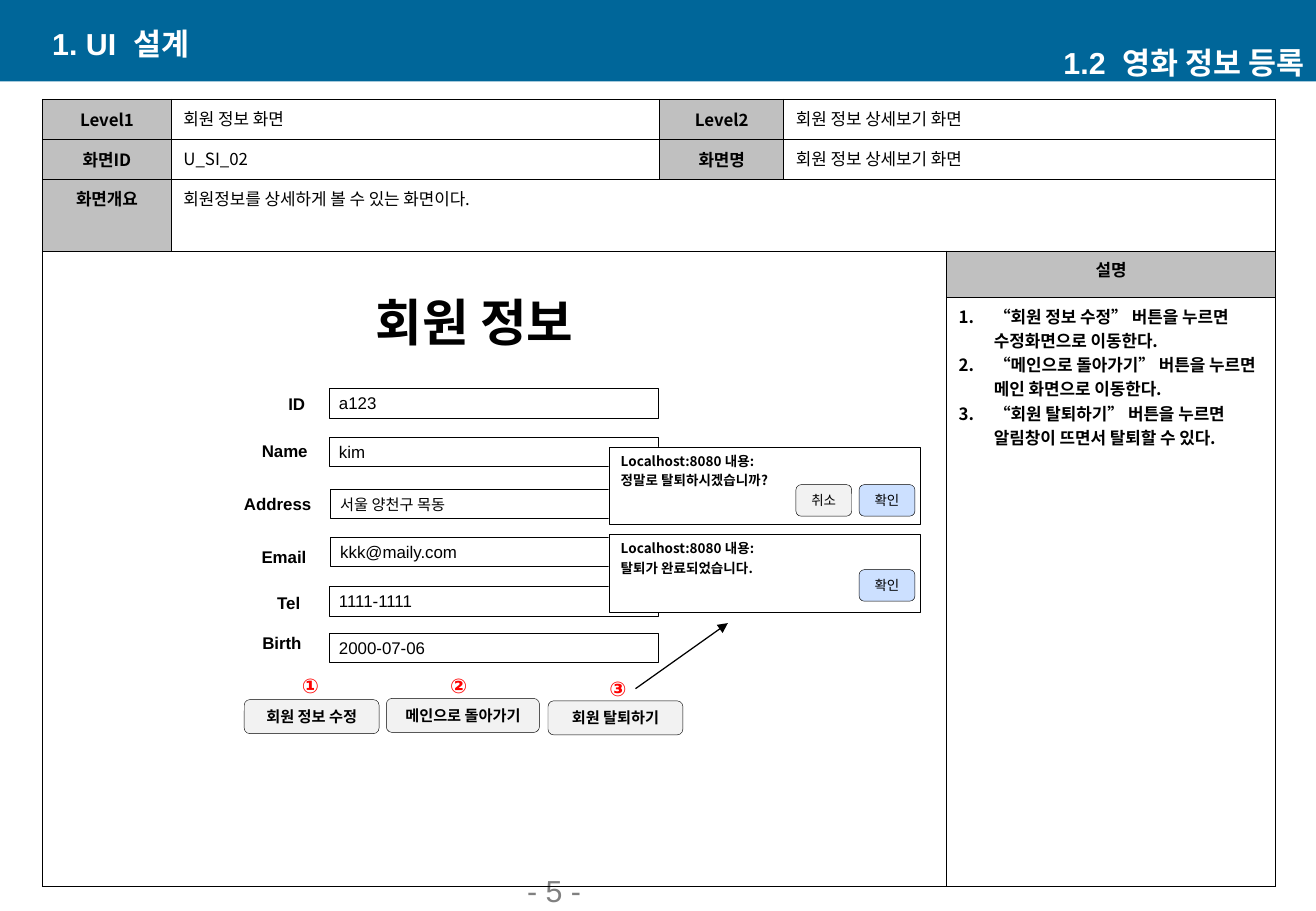
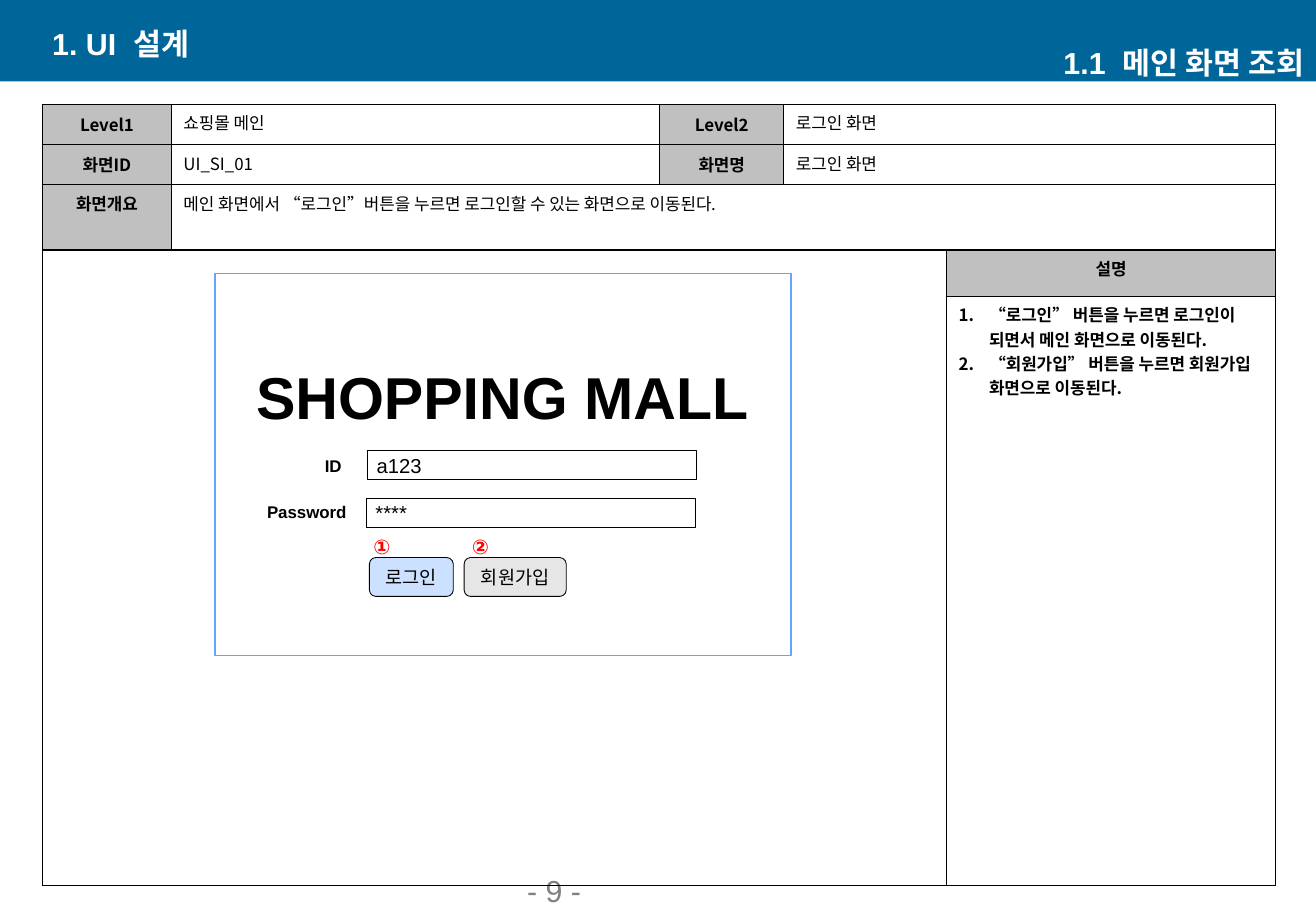
from lxml import etree
from pptx import Presentation
from pptx.dml.color import RGBColor
from pptx.enum import shapes, text
from pptx.oxml import ns
from pptx.util import Inches, Pt

COLORS = {
    "band": "006699", "white": "FFFFFF", "black": "000000", "page": "808080",
    "header": "C0C0C0", "mark": "FF0000", "frame": "66A3FF",
    "plain": "F2F2F2", "gray": "E6E6E6", "primary": "CCE0FF",
}
LATIN, KOREAN = "Arial", "Noto Sans CJK KR"
ALIGN, ANCHOR, SHAPE = text.PP_ALIGN, text.MSO_ANCHOR, shapes.MSO_SHAPE

SECTION = "1. UI  설계"
TABLE_LEFT, COLUMNS = 0.35, (1.06, 4.02, 1.02, 1.34, 2.71)
FIELD_SIZE, MARK_SIZE = (2.71, 0.24), (0.37, 0.3)
POPUP_SIZE, POPUP_BUTTON = (2.56, 0.64), (0.46, 0.26)

MEMBER = {
    "topic": "1.2  영화 정보 등록", "page": "- 5 -",
    "top": 0.82, "overview_height": 0.59, "indent": 0.29,
    "level1": "회원 정보 화면", "level2": "회원 정보 상세보기 화면",
    "id": "U_SI_02", "name": "회원 정보 상세보기 화면",
    "overview": "회원정보를 상세하게 볼 수 있는 화면이다.",
    "notes": ["“회원 정보 수정” 버튼을 누르면 수정화면으로 이동한다.",
              "“메인으로 돌아가기” 버튼을 누르면 메인 화면으로 이동한다.",
              "“회원 탈퇴하기” 버튼을 누르면 알림창이 뜨면서 탈퇴할 수 있다."],
    "heading": ("회원 정보", (2.92, 2.34, 1.97, 0.61), 30),
    # label, its right edge and top, value, field left and top, value size
    "fields": [("ID", 2.61, 3.19, "a123", 2.71, 3.2, 10),
               ("Name", 2.63, 3.58, "kim", 2.71, 3.6, 10),
               ("Address", 2.66, 4.01, "서울 양천구 목동", 2.72, 4.03, 9),
               ("Email", 2.62, 4.45, "kkk@maily.com", 2.72, 4.42, 10),
               ("Tel", 2.57, 4.83, "1111-1111", 2.71, 4.83, 10),
               ("Birth", 2.58, 5.16, "2000-07-06", 2.71, 5.21, 10)],
    "buttons": [("회원 정보 수정", (2.01, 5.76, 1.11, 0.28), "plain"),
                ("메인으로 돌아가기", (3.18, 5.75, 1.26, 0.28), "plain"),
                ("회원 탈퇴하기", (4.51, 5.77, 1.11, 0.28), "plain")],
    "button_format": {"size": 9, "bold": True},
    "button_line": 0.25,
    "marks": [("①", 2.37, 5.49), ("②", 3.59, 5.49), ("③", 4.9, 5.52)],
}
LOGIN = {
    "topic": "1.1  메인 화면 조회", "page": "- 9 -",
    "top": 0.86, "overview_height": 0.54, "indent": 0.25,
    "level1": "쇼핑몰 메인", "level2": "로그인 화면",
    "id": "UI_SI_01", "name": "로그인 화면",
    "overview": "메인 화면에서 “로그인”버튼을 누르면 로그인할 수 있는 화면으로 이동된다.",
    "notes": ["“로그인” 버튼을 누르면 로그인이 되면서 메인 화면으로 이동된다.",
              "“회원가입” 버튼을 누르면 회원가입 화면으로 이동된다."],
    "heading": ("SHOPPING MALL", (1.95, 2.91, 4.37, 0.69), 35),
    "fields": [("ID", 2.91, 3.7, "a123", 3.02, 3.71, 12),
               ("Password", 2.95, 4.08, "****", 3.01, 4.1, 12)],
    "buttons": [("로그인", (3.04, 4.59, 0.69, 0.32), "primary"),
                ("회원가입", (3.82, 4.59, 0.84, 0.32), "gray")],
    "button_format": {"size": 11},
    "button_line": 0.5,
    "marks": [("①", 2.96, 4.35), ("②", 3.77, 4.35)],
}
# left, top, lines, buttons from left to right
POPUPS = [
    (5.01, 3.68, ["Localhost:8080 내용:", "정말로 탈퇴하시겠습니까?"],
     [("취소", 6.55, 3.99, "plain"), ("확인", 7.07, 3.99, "primary")]),
    (5.01, 4.4, ["Localhost:8080 내용:", "탈퇴가 완료되었습니다."],
     [("확인", 7.07, 4.69, "primary")]),
]
ARROW = (5.23, 5.67, 5.99, 5.13)


def rgb(name):
    return RGBColor.from_string(COLORS[name])


def add_xml(parent, tag, **attributes):
    return etree.SubElement(parent, ns.qn(tag), attributes)


def write(frame, lines, *, size=10, bold=False, color="black", font=LATIN,
          align=ALIGN.LEFT, anchor=ANCHOR.MIDDLE, margins=(0.1, 0.05),
          gap=0, number_indent=0):
    """Fill a text frame; a number_indent makes the lines a numbered list."""
    frame.word_wrap = True
    frame.auto_size = text.MSO_AUTO_SIZE.NONE
    frame.vertical_anchor = anchor
    frame.margin_left = frame.margin_right = Inches(margins[0])
    frame.margin_top = frame.margin_bottom = Inches(margins[1])
    for index, line in enumerate([lines] if isinstance(lines, str) else lines):
        paragraph = frame.add_paragraph() if index else frame.paragraphs[0]
        paragraph.alignment = align
        if index and gap:
            paragraph.space_before = Pt(gap)
        if number_indent:
            properties = paragraph._p.get_or_add_pPr()
            properties.set("marL", str(Inches(number_indent)))
            properties.set("indent", str(-Inches(number_indent)))
            add_xml(properties, "a:buFont", typeface=KOREAN)
            add_xml(properties, "a:buAutoNum", type="arabicPeriod")
        run = paragraph.add_run()
        run.text = line
        run.font.size, run.font.bold, run.font.name = Pt(size), bold, font
        run.font.color.rgb = rgb(color)
        add_xml(run._r.get_or_add_rPr(), "a:ea", typeface=KOREAN)


def add_text(slide, content, box, **style):
    label = slide.shapes.add_textbox(*map(Inches, box))
    write(label.text_frame, content, **style)


def add_box(slide, box, *, kind=SHAPE.RECTANGLE, fill=None, line="black",
            width=0.25, content=None, **style):
    shape = slide.shapes.add_shape(kind, *map(Inches, box))
    shape.shadow.inherit = False
    if fill:
        shape.fill.solid()
        shape.fill.fore_color.rgb = rgb(fill)
    else:
        shape.fill.background()
    if line:
        shape.line.color.rgb = rgb(line)
        shape.line.width = Pt(width)
    else:
        shape.line.fill.background()
    if content:
        write(shape.text_frame, content, **style)
    return shape


def add_button(slide, label, box, fill, **style):
    add_box(slide, box, kind=SHAPE.ROUNDED_RECTANGLE, fill=fill, content=label,
            align=ALIGN.CENTER, margins=(0, 0), **style)


def add_cell_borders(cell):
    properties = cell._tc.get_or_add_tcPr()
    for side in ("a:lnL", "a:lnR", "a:lnT", "a:lnB"):
        border = add_xml(properties, side, w=str(Pt(1)))
        add_xml(add_xml(border, "a:solidFill"), "a:srgbClr", val=COLORS["black"])


def add_screen_table(slide, screen):
    rows = (0.33, 0.33, screen["overview_height"], 0.38, 4.85)
    frame = slide.shapes.add_table(
        len(rows), len(COLUMNS), Inches(TABLE_LEFT), Inches(screen["top"]),
        Inches(sum(COLUMNS)), Inches(sum(rows)))
    table = frame.table
    table.first_row = table.horz_banding = False
    for column, width in zip(table.columns, COLUMNS):
        column.width = Inches(width)
    for row, height in zip(table.rows, rows):
        row.height = Inches(height)

    headers = {(0, 0): "Level1", (0, 2): "Level2", (1, 0): "화면ID",
               (1, 2): "화면명", (2, 0): "화면개요", (3, 4): "설명"}
    values = {(0, 1): screen["level1"], (0, 3): screen["level2"],
              (1, 1): screen["id"], (1, 3): screen["name"],
              (2, 1): screen["overview"], (4, 4): screen["notes"]}
    for row in range(len(rows)):
        for column in range(len(COLUMNS)):
            cell, place = table.cell(row, column), (row, column)
            add_cell_borders(cell)
            if place in headers:
                cell.fill.solid()
                cell.fill.fore_color.rgb = rgb("header")
                write(cell.text_frame, headers[place], font=KOREAN, bold=True,
                      align=ALIGN.CENTER)
                cell.vertical_anchor = ANCHOR.MIDDLE if row < 2 else ANCHOR.TOP
                continue
            cell.fill.background()
            if place in values:
                is_notes = place == (4, 4)
                write(cell.text_frame, values[place], font=KOREAN, bold=is_notes,
                      number_indent=screen["indent"] if is_notes else 0)
                cell.vertical_anchor = ANCHOR.TOP
            else:
                add_xml(cell.text_frame.paragraphs[0]._p, "a:endParaRPr", sz="1000")
    for first, last in (((0, 3), (0, 4)), ((1, 3), (1, 4)),
                        ((2, 1), (2, 4)), ((3, 0), (4, 3))):
        table.cell(*first).merge(table.cell(*last))


def add_form(slide, screen):
    heading, box, size = screen["heading"]
    add_text(slide, heading, box, size=size, bold=True, align=ALIGN.CENTER)
    for label, right, top, value, left, field_top, size in screen["fields"]:
        add_box(slide, (left, field_top, *FIELD_SIZE), content=value, size=size,
                margins=(0.08, 0))
        add_text(slide, label, (right - 1, top, 1, 0.27), bold=True,
                 align=ALIGN.RIGHT)
    for label, box, fill in screen["buttons"]:
        add_button(slide, label, box, fill, width=screen["button_line"],
                   **screen["button_format"])
    for mark, left, top in screen["marks"]:
        add_text(slide, mark, (left, top, *MARK_SIZE), size=12, bold=True,
                 color="mark", align=ALIGN.CENTER)


def add_popups(slide):
    for left, top, lines, buttons in POPUPS:
        add_box(slide, (left, top, *POPUP_SIZE), fill="white", content=lines,
                size=8, bold=True, font=KOREAN, anchor=ANCHOR.TOP, gap=2)
        for label, button_left, button_top, fill in buttons:
            add_button(slide, label, (button_left, button_top, *POPUP_BUTTON),
                       fill, size=8, font=KOREAN)


def add_arrow(slide):
    arrow = slide.shapes.add_connector(
        shapes.MSO_CONNECTOR.STRAIGHT, *map(Inches, ARROW))
    arrow.line.color.rgb = rgb("black")
    arrow.line.width = Pt(0.75)
    add_xml(arrow.line._get_or_add_ln(), "a:tailEnd", type="triangle")
    add_xml(arrow.element.spPr, "a:effectLst")


def add_layout_band(layout, slide):
    """Draw the top band and move it into the layout, behind everything."""
    band = add_box(slide, (0, 0, 10.83, 0.67), fill="band", line=None)
    band.element.nvSpPr.cNvPr.set("id", "99")
    layout.element.cSld.spTree.insert(2, band.element)


def add_screen(deck, layout, screen):
    slide = deck.slides.add_slide(layout)
    title = slide.shapes.title
    title.left, title.top, title.width, title.height = map(
        Inches, (0.33, 0.19, 4.38, 0.33))
    heading_style = {"size": 18, "bold": True, "color": "white"}
    write(title.text_frame, SECTION, **heading_style)
    add_text(slide, screen["topic"], (6.45, 0.35, 4.38, 0.33),
             align=ALIGN.RIGHT, **heading_style)
    add_text(slide, screen["page"], (4.24, 7.3, 2.26, 0.23), size=18,
             color="page", anchor=ANCHOR.BOTTOM)
    add_screen_table(slide, screen)
    return slide


def main():
    deck = Presentation()
    deck.slide_width, deck.slide_height = Inches(10.83), Inches(7.5)
    layout = deck.slide_layouts[5]

    member = add_screen(deck, layout, MEMBER)
    add_layout_band(layout, member)
    add_form(member, MEMBER)
    add_popups(member)
    add_arrow(member)

    login = add_screen(deck, layout, LOGIN)
    add_box(login, (1.77, 2.25, 4.74, 3.15), line="frame", width=0.75)
    add_form(login, LOGIN)
    deck.save("out.pptx")


if __name__ == "__main__":
    main()
